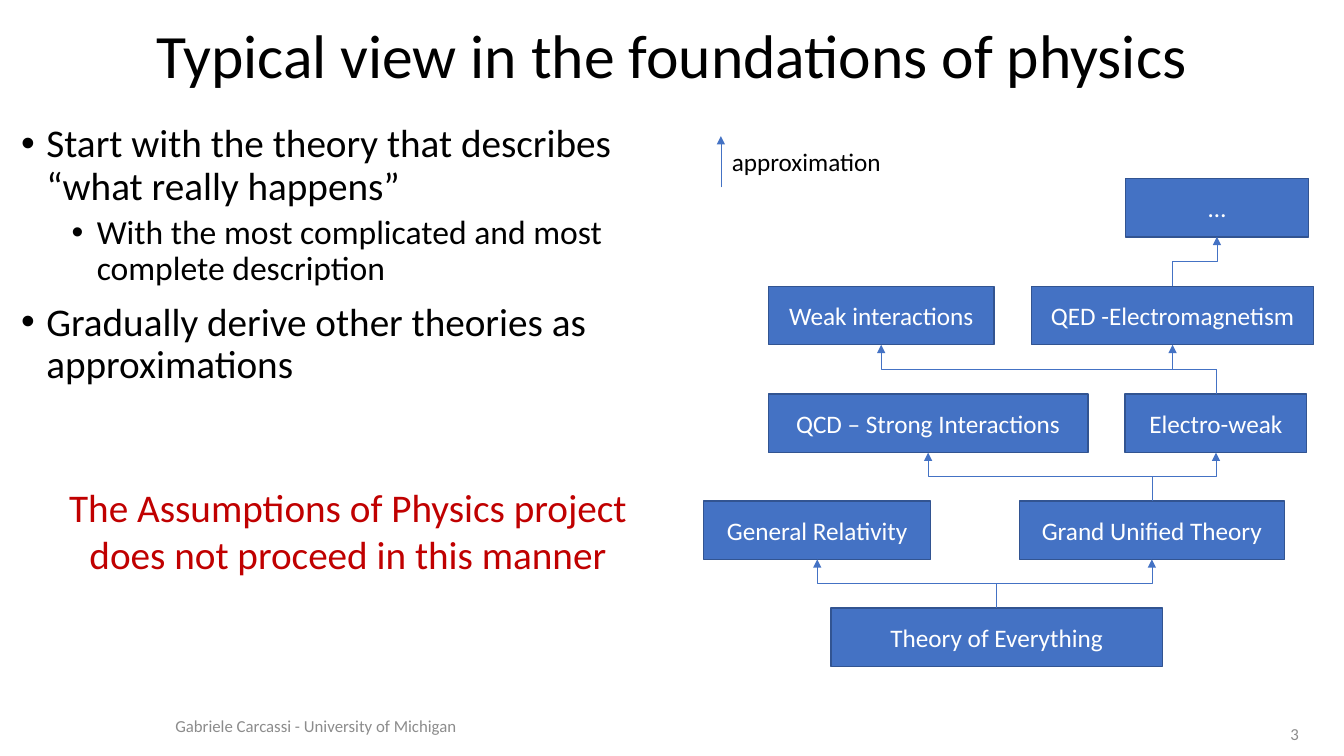
from lxml.etree import SubElement
from pptx import Presentation
from pptx.dml.color import RGBColor
from pptx.enum.shapes import MSO_CONNECTOR, MSO_SHAPE
from pptx.enum.text import MSO_ANCHOR, MSO_AUTO_SIZE, PP_ALIGN
from pptx.oxml.ns import qn
from pptx.util import Inches, Pt

COLORS = {
    "black": "000000",
    "white": "FFFFFF",
    "gray": "8C8C8C",
    "red": "C00000",
    "blue": "4472C4",
    "outline": "325491",
}


def write_text(paragraph, text, size=18, color="black", align=PP_ALIGN.LEFT, spacing=1.0, before=0):
    paragraph.alignment = align
    paragraph.line_spacing = spacing
    paragraph.space_before = Pt(before)
    run = paragraph.add_run()
    run.text = text
    run.font.size = Pt(size)
    run.font.name = "Calibri"
    run.font.color.rgb = RGBColor.from_string(COLORS[color])


def style_arrow(connector):
    connector.line.color.rgb = RGBColor.from_string(COLORS["blue"])
    connector.line.width = Pt(0.5)
    SubElement(connector.line._get_or_add_ln(), qn("a:tailEnd"), type="triangle")
    SubElement(connector._element.spPr, qn("a:effectLst"))


presentation = Presentation()
presentation.slide_width = Inches(13.33)
presentation.slide_height = Inches(7.5)
slide = presentation.slides.add_slide(presentation.slide_layouts[1])
shapes = slide.shapes

title = shapes.title
title.left, title.top, title.width, title.height = map(Inches, (0.11, 0.09, 13.11, 0.98))
title.text_frame.auto_size = MSO_AUTO_SIZE.NONE
title.text_frame.vertical_anchor = MSO_ANCHOR.MIDDLE
write_text(title.text_frame.paragraphs[0], "Typical view in the foundations of physics",
           size=44, align=PP_ALIGN.CENTER, spacing=0.9)

body = slide.placeholders[1]
body.left, body.top, body.width, body.height = map(Inches, (0.11, 1.18, 6.55, 5.7))
body.text_frame.auto_size = MSO_AUTO_SIZE.NONE
bullets = [
    (0, "Start with the theory that describes “what really happens”", 28, 0),
    (1, "With the most complicated and most complete description", 24, 5),
    (0, "Gradually derive other theories as approximations", 28, 10),
]
for index, (level, text, size, before) in enumerate(bullets):
    paragraph = body.text_frame.add_paragraph() if index else body.text_frame.paragraphs[0]
    paragraph.level = level
    properties = paragraph._p.get_or_add_pPr()
    properties.set("marL", str(Inches(0.25 + 0.5 * level)))
    properties.set("indent", str(Inches(-0.25)))
    SubElement(properties, qn("a:buFont"), typeface="Arial")
    SubElement(properties, qn("a:buChar"), char="•")
    write_text(paragraph, text, size=size, spacing=0.9, before=before)

theories = {
    "Theory of Everything": (8.24, 6.03, 3.29),
    "General Relativity": (6.98, 4.97, 2.25),
    "Grand Unified Theory": (10.11, 4.97, 2.63),
    "Electro-weak": (11.16, 3.91, 1.8),
    "QCD – Strong Interactions": (7.62, 3.91, 3.17),
    "QED -Electromagnetism": (10.23, 2.84, 2.8),
    "Weak interactions": (7.62, 2.84, 2.24),
    "…": (11.16, 1.77, 1.82),
}
boxes = {}
for name, (left, top, width) in theories.items():
    box = shapes.add_shape(MSO_SHAPE.RECTANGLE, Inches(left), Inches(top), Inches(width), Inches(0.58))
    box.shadow.inherit = False
    box.fill.solid()
    box.fill.fore_color.rgb = RGBColor.from_string(COLORS["blue"])
    box.line.color.rgb = RGBColor.from_string(COLORS["outline"])
    box.line.width = Pt(1)
    box.text_frame.word_wrap = True
    box.text_frame.vertical_anchor = MSO_ANCHOR.MIDDLE
    write_text(box.text_frame.paragraphs[0], name, color="white", align=PP_ALIGN.CENTER)
    boxes[name] = box

derivations = [
    ("Theory of Everything", "General Relativity"),
    ("Theory of Everything", "Grand Unified Theory"),
    ("Grand Unified Theory", "Electro-weak"),
    ("Grand Unified Theory", "QCD – Strong Interactions"),
    ("Electro-weak", "QED -Electromagnetism"),
    ("Electro-weak", "Weak interactions"),
    ("QED -Electromagnetism", "…"),
]
for source_name, target_name in derivations:
    source, target = boxes[source_name], boxes[target_name]
    start_x = source.left + source.width // 2
    end_x = target.left + target.width // 2
    start_y, end_y = source.top, target.top + target.height
    connector = shapes.add_connector(MSO_CONNECTOR.ELBOW, start_x, start_y, end_x, end_y)
    connector.begin_connect(source, 0)
    connector.end_connect(target, 2)
    rise, run_length = start_y - end_y, abs(end_x - start_x)
    connector.left = (start_x + end_x - rise) // 2
    connector.top = (start_y + end_y - run_length) // 2
    connector.width, connector.height = rise, run_length
    goes_right = end_x > start_x
    transform = connector._element.spPr.find(qn("a:xfrm"))
    transform.set("rot", str((90 if goes_right else 270) * 60000))
    transform.set("flipH", "1" if goes_right else "0")
    transform.set("flipV", "1")
    style_arrow(connector)

style_arrow(shapes.add_connector(MSO_CONNECTOR.STRAIGHT, Inches(7.15), Inches(1.86), Inches(7.15), Inches(1.35)))

labels = [
    ("approximation", (7.16, 1.4, 1.7, 0.4), MSO_ANCHOR.TOP, False, {}),
    ("The Assumptions of Physics project does not proceed in this manner", (0.24, 4.75, 6.42, 1.04),
     MSO_ANCHOR.TOP, True, {"size": 28, "color": "red", "align": PP_ALIGN.CENTER}),
    ("Gabriele Carcassi - University of Michigan", (1.64, 7, 6.53, 0.4),
     MSO_ANCHOR.MIDDLE, True, {"size": 12, "color": "gray"}),
    ("3", (12.37, 7.15, 0.61, 0.25),
     MSO_ANCHOR.MIDDLE, True, {"size": 12, "color": "gray", "align": PP_ALIGN.RIGHT}),
]
for text, position, anchor, wrap, text_format in labels:
    label = shapes.add_textbox(*map(Inches, position))
    label.text_frame.word_wrap = wrap
    label.text_frame.vertical_anchor = anchor
    write_text(label.text_frame.paragraphs[0], text, **text_format)

presentation.save("out.pptx")
